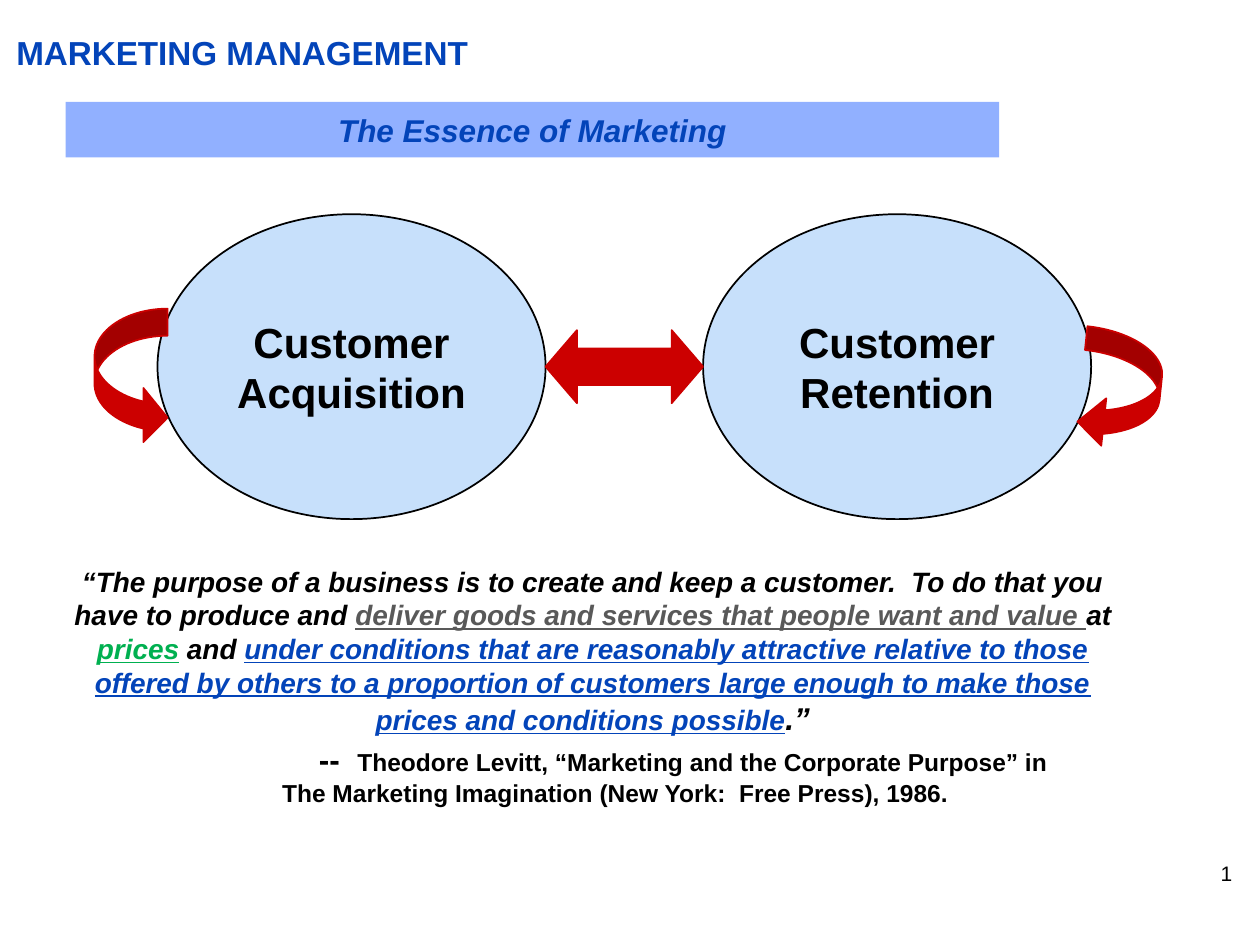
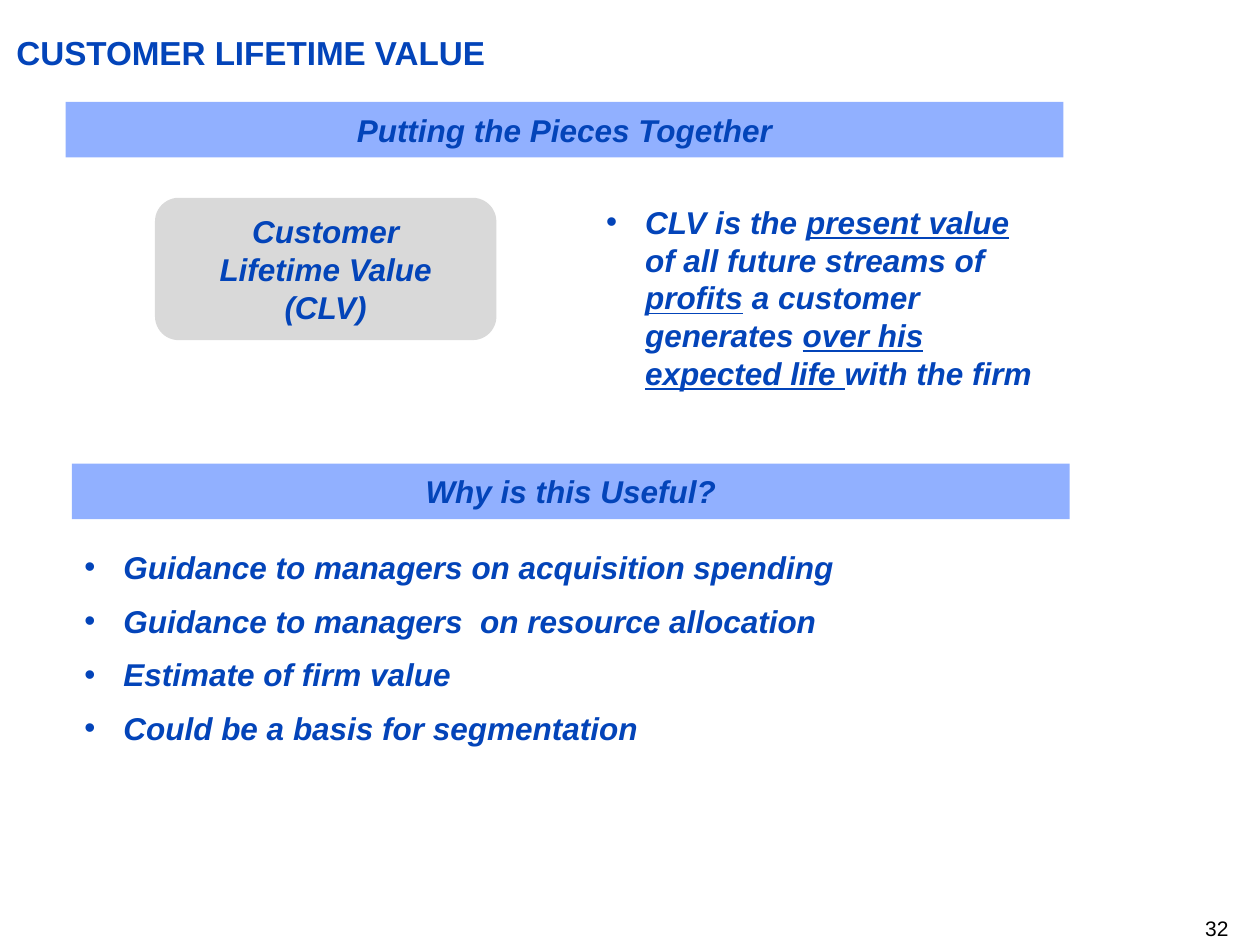
"""Build two marketing slides: the essence of marketing and customer lifetime value."""
from dataclasses import dataclass
from typing import Any, NamedTuple, Optional

import lxml.etree
import pptx
import pptx.dml.color
import pptx.enum.shapes
import pptx.enum.text
import pptx.oxml.ns
import pptx.shapes.autoshape
import pptx.slide
import pptx.text.text
import pptx.util

EMU_PER_PX = 9144
ALIGN = pptx.enum.text.PP_ALIGN
ANCHOR = pptx.enum.text.MSO_ANCHOR
PRESET = pptx.enum.shapes.MSO_SHAPE


@dataclass(frozen=True)
class Theme:
    font: str = "Arial"
    ink: str = "000000"
    blue: str = "0344B9"
    band: str = "91B0FF"
    oval: str = "C7E0FB"
    arrow: str = "CC0000"
    panel: str = "D9D9D9"
    grey: str = "595959"
    green: str = "00B050"
    title_size: int = 19
    heading_size: int = 18
    oval_size: int = 24
    quote_size: int = 16
    citation_size: int = 14
    number_size: int = 12


THEME = Theme()


class Box(NamedTuple):
    left: int
    top: int
    width: int
    height: int


class Style(NamedTuple):
    size: int
    color: str
    bold: bool = True
    italic: bool = False
    underline: bool = False


class Span(NamedTuple):
    text: str
    style: Style


class Para(NamedTuple):
    spans: list[Span]
    align: Any = ALIGN.LEFT
    before: int = 0
    margin: int = 0
    indent: int = 0
    bullet: str = ""


class Frame(NamedTuple):
    side: int = 10
    edge: int = 5
    anchor: Any = ANCHOR.TOP
    wrap: bool = True


@dataclass(frozen=True)
class Figure:
    preset: Any
    box: Box
    fill: str
    line: Optional[str] = None
    adjustments: tuple[float, ...] = ()
    rotation: int = 0
    flipped: bool = False


HEADING = Style(THEME.heading_size, THEME.blue, italic=True)
MARKED = HEADING._replace(underline=True)
QUOTE = Style(THEME.quote_size, THEME.ink, italic=True)
FLUSH = Frame(0, 0)
TITLE_BOX = Box(13, 26, 962, 32)


def px(length: int) -> pptx.util.Emu:
    return pptx.util.Emu(length * EMU_PER_PX)


def assign(target: Any, formats: dict[str, Any]) -> None:
    for name, value in formats.items():
        setattr(target, name, value)


def rgb(value: str) -> pptx.dml.color.RGBColor:
    return pptx.dml.color.RGBColor.from_string(value)


def place(shape: Any, box: Box) -> None:
    assign(shape, {name: px(value) for name, value in box._asdict().items()})


def write_para(paragraph: Any, para: Para) -> None:
    properties = paragraph._p.get_or_add_pPr()
    properties.set("marL", str(px(para.margin)))
    properties.set("indent", str(px(para.indent)))
    if para.bullet:
        bullet = lxml.etree.SubElement(properties, pptx.oxml.ns.qn("a:buChar"))
        bullet.set("char", para.bullet)
    assign(paragraph, {"alignment": para.align, "space_before": pptx.util.Pt(para.before)})
    for span in para.spans:
        for position, line in enumerate(span.text.split("\n")):
            if position:
                paragraph.add_line_break()
            run = paragraph.add_run()
            run.text = line
            formats = span.style._asdict()
            run.font.color.rgb = rgb(formats.pop("color"))
            formats["size"] = pptx.util.Pt(span.style.size)
            assign(run.font, formats | {"name": THEME.font})


def write(text_frame: pptx.text.text.TextFrame, paras: list[Para], frame: Frame = Frame()) -> None:
    assign(text_frame, {
        "margin_left": px(frame.side), "margin_right": px(frame.side),
        "margin_top": px(frame.edge), "margin_bottom": px(frame.edge),
        "vertical_anchor": frame.anchor, "word_wrap": frame.wrap,
        "auto_size": pptx.enum.text.MSO_AUTO_SIZE.NONE,
    })
    for position, para in enumerate(paras):
        paragraph = text_frame.add_paragraph() if position else text_frame.paragraphs[0]
        write_para(paragraph, para)


def draw(slide: pptx.slide.Slide, figure: Figure) -> pptx.shapes.autoshape.Shape:
    shape = slide.shapes.add_shape(figure.preset, *map(px, figure.box))
    shape.shadow.inherit = False
    shape.fill.solid()
    shape.fill.fore_color.rgb = rgb(figure.fill)
    if figure.line:
        shape.line.color.rgb = rgb(figure.line)
        shape.line.width = pptx.util.Pt(1)
    else:
        shape.line.fill.background()
    for position, value in enumerate(figure.adjustments):
        shape.adjustments[position] = value
    shape.rotation = figure.rotation
    if figure.flipped:
        shape._element.spPr.xfrm.set("flipH", "1")
    return shape


def add_text(slide: pptx.slide.Slide, box: Box, paras: list[Para], frame: Frame = Frame()) -> None:
    write(slide.shapes.add_textbox(*map(px, box)).text_frame, paras, frame)


def add_band(slide: pptx.slide.Slide, box: Box, heading: str) -> None:
    band = draw(slide, Figure(PRESET.RECTANGLE, box, THEME.band))
    write(band.text_frame, [Para([Span(heading, HEADING)], ALIGN.CENTER)], Frame(anchor=ANCHOR.MIDDLE))


def add_page(deck: Any, layout: int, title: str, number: str, number_box: Box) -> pptx.slide.Slide:
    slide = deck.slides.add_slide(deck.slide_layouts[layout])
    place(slide.shapes.title, TITLE_BOX)
    title_style = Style(THEME.title_size, THEME.blue)
    write(slide.shapes.title.text_frame, [Para([Span(title, title_style)])], FLUSH)
    number_style = Style(THEME.number_size, THEME.ink, bold=False)
    add_text(slide, number_box, [Para([Span(number, number_style)], ALIGN.RIGHT)], FLUSH)
    return slide


def fill_list(slide: pptx.slide.Slide, index: int, box: Box, items: list[list[Span]]) -> None:
    placeholder = slide.placeholders[index]
    place(placeholder, box)
    write(placeholder.text_frame, [
        Para(spans, before=9 if position else 0, margin=31, indent=-31, bullet="•")
        for position, spans in enumerate(items)
    ])


def build_essence(deck: Any) -> None:
    slide = add_page(deck, 5, "MARKETING MANAGEMENT", "1", Box(770, 683, 208, 50))
    oval_style = Style(THEME.oval_size, THEME.ink)
    for left, goal in ((125, "Acquisition"), (558, "Retention")):
        oval = draw(slide, Figure(PRESET.OVAL, Box(left, 170, 308, 242), THEME.oval, THEME.ink))
        words = [Para([Span(word, oval_style)], ALIGN.CENTER) for word in ("Customer", goal)]
        write(oval.text_frame, words, Frame(anchor=ANCHOR.MIDDLE, wrap=False))
    quote = [
        Span("“The purpose of a business is to create and keep a customer.  "
             "To do that you have to produce and ", QUOTE),
        Span("deliver goods and services that people want and value ",
             QUOTE._replace(color=THEME.grey, underline=True)),
        Span("at ", QUOTE),
        Span("prices", QUOTE._replace(color=THEME.green, underline=True)),
        Span(" and ", QUOTE),
        Span("under conditions that are reasonably attractive relative to those offered by "
             "others to a proportion of customers large enough to make those prices and "
             "conditions possible", QUOTE._replace(color=THEME.blue, underline=True)),
        Span(".”", QUOTE._replace(size=THEME.heading_size)),
    ]
    citation = [
        Span("--  ", Style(THEME.heading_size, THEME.ink)),
        Span("Theodore Levitt, “Marketing and the Corporate Purpose” in\n"
             "The Marketing Imagination (New York:  Free Press), 1986.",
             Style(THEME.citation_size, THEME.ink)),
    ]
    add_text(slide, Box(37, 443, 867, 205), [
        Para(quote, ALIGN.CENTER),
        Para(citation, ALIGN.CENTER, before=2, margin=36, indent=108),
    ])
    red = THEME.arrow
    for arrow in (
        Figure(PRESET.LEFT_RIGHT_ARROW, Box(433, 262, 125, 58), red, red, (0.5, 0.43)),
        Figure(PRESET.CURVED_RIGHT_ARROW, Box(75, 245, 58, 108), red, red, (0.37, 0.74, 0.33)),
        Figure(PRESET.CURVED_RIGHT_ARROW, Box(858, 262, 63, 95), red, red, (0.3, 0.6, 0.33), 6, True),
    ):
        draw(slide, arrow)
    add_band(slide, Box(52, 81, 741, 44), "The Essence of Marketing")


def build_lifetime_value(deck: Any) -> None:
    slide = add_page(deck, 3, "CUSTOMER LIFETIME VALUE", "32", Box(767, 727, 208, 20))
    add_band(slide, Box(52, 81, 792, 44), "Putting the Pieces Together")
    panel = draw(slide, Figure(PRESET.ROUNDED_RECTANGLE, Box(123, 157, 271, 113), THEME.panel))
    write(panel.text_frame, [Para([Span("Customer Lifetime Value (CLV)", HEADING)], ALIGN.CENTER)],
          Frame(side=37, anchor=ANCHOR.MIDDLE))
    fill_list(slide, 1, Box(471, 156, 364, 162), [[
        Span("CLV is the ", HEADING), Span("present value ", MARKED),
        Span("of all future streams of ", HEADING), Span("profits", MARKED),
        Span(" a customer generates ", HEADING), Span("over his expected life ", MARKED),
        Span("with the firm", HEADING),
    ]])
    add_band(slide, Box(57, 368, 792, 44), "Why is this Useful?")
    benefits = (
        "Guidance to managers on acquisition spending",
        "Guidance to managers  on resource allocation",
        "Estimate of firm value",
        "Could be a basis for segmentation",
    )
    fill_list(slide, 2, Box(57, 430, 828, 177), [[Span(benefit, HEADING)] for benefit in benefits])


def main() -> None:
    deck = pptx.Presentation()
    assign(deck, {"slide_width": px(1000), "slide_height": px(750)})
    build_essence(deck)
    build_lifetime_value(deck)
    deck.save("out.pptx")


if __name__ == "__main__":
    main()
